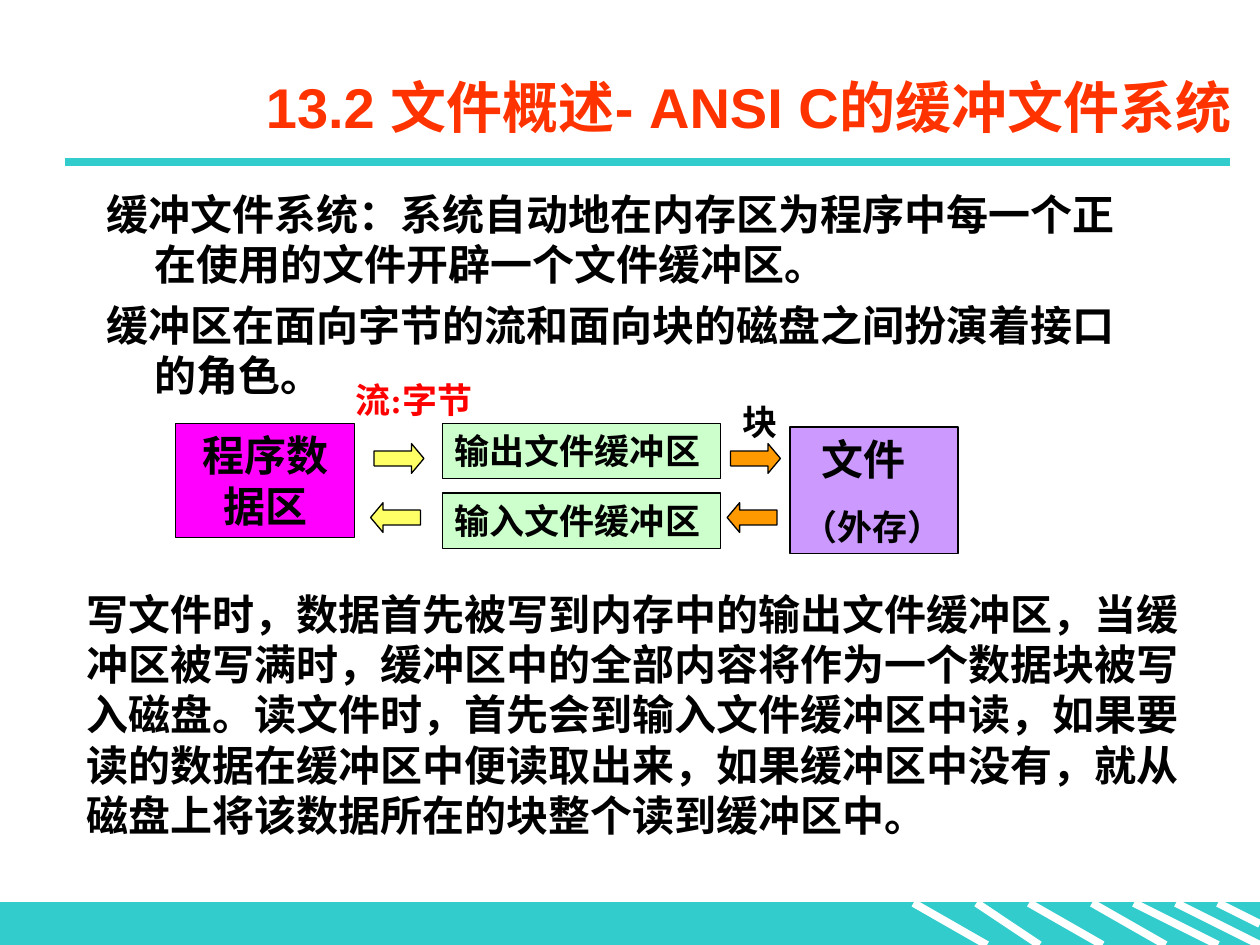
"""Build the slide on the ANSI C buffered file system."""
from lxml import etree
from pptx import Presentation
from pptx import util as u
from pptx.dml.color import RGBColor
from pptx.enum import shapes as s, text as t
from pptx.oxml.ns import qn

Pt = u.Pt
color = RGBColor.from_string
TEAL, BLACK, RED = "33CCCC", "000000", "FF0000"
GREEN, PURPLE, MAGENTA, YELLOW, ORANGE = "CCFFCC", "CC99FF", "FF00FF", "FFFF66", "FF9900"
SERIF = "Times New Roman"


def add_block(kind, left, top, width, height, fill, line=BLACK):
    block = page.shapes.add_shape(kind, Pt(left), Pt(top), Pt(width), Pt(height))
    block.shadow.inherit = False
    block.fill.solid()
    block.fill.fore_color.rgb = color(fill)
    block.line.color.rgb = color(line)
    block.line.width = Pt(0.75)
    return block


def write(box, lines, font=SERIF, ink=BLACK, align=t.PP_ALIGN.LEFT, gap=0):
    frame = box.text_frame
    frame.word_wrap = True
    frame.vertical_anchor = t.MSO_ANCHOR.TOP
    for index, (words, size, margin, indent) in enumerate(lines):
        para = frame.add_paragraph() if index else frame.paragraphs[0]
        para.text = words
        para.alignment = align
        para.line_spacing = Pt(size * 1.2)
        if index:
            para.space_before = Pt(gap)
        properties = para._p.get_or_add_pPr()
        properties.set("marL", str(Pt(margin)))
        properties.set("indent", str(Pt(indent)))
        para.font.name = font
        para.font.size = Pt(size)
        para.font.bold = True
        para.font.color.rgb = color(ink)


deck = Presentation()
deck.slide_width, deck.slide_height = Pt(720), Pt(540)
page = deck.slides.add_slide(deck.slide_layouts[5])

add_block(s.MSO_SHAPE.RECTANGLE, 0, 516, 720, 24, TEAL, TEAL)
stripes = [(522, 564), (558, 594), (588, 630), (624, 666), (648, 696), (672, 720)]
strokes = [(start, 516, end, 540, "FFFFFF") for start, end in stripes]
strokes += [(696, 516, 720, 528, "FFFFFF"), (37, 92.75, 703, 92.75, TEAL)]
for x1, y1, x2, y2, ink in strokes:
    stroke = page.shapes.add_connector(s.MSO_CONNECTOR.STRAIGHT, Pt(x1), Pt(y1), Pt(x2), Pt(y2))
    stroke.line.color.rgb = color(ink)
    stroke.line.width = Pt(4.5)
    etree.SubElement(stroke._element.spPr, qn("a:effectLst"))

title = page.shapes.title
title.left, title.top, title.width, title.height = Pt(99), Pt(32), Pt(612), Pt(57)
title.text_frame.text = "13.2 文件概述- ANSI C的缓冲文件系统"
title.text_frame.vertical_anchor = t.MSO_ANCHOR.MIDDLE
heading = title.text_frame.paragraphs[0]
heading.alignment = t.PP_ALIGN.RIGHT
heading.font.name = "Arial"
heading.font.size = Pt(32)
heading.font.bold = True
heading.font.color.rgb = color("FF3300")

definition = page.shapes.add_textbox(Pt(54), Pt(104), Pt(612), Pt(363))
write(definition, [
    ("缓冲文件系统：系统自动地在内存区为程序中每一个正在使用的文件开辟一个文件缓冲区。", 24, 27, -27),
    ("缓冲区在面向字节的流和面向块的磁盘之间扮演着接口的角色。", 24, 27, -27),
], font="Arial", gap=6)

for words, top in [("输出文件缓冲区", 242), ("输入文件缓冲区", 281.75)]:
    buffer = add_block(s.MSO_SHAPE.RECTANGLE, 252.75, top, 159, 31.5, GREEN)
    write(buffer, [(words, 20, 0, 0)])

storage = add_block(s.MSO_SHAPE.RECTANGLE, 451.5, 244, 96, 72.5, PURPLE)
write(storage, [("文件", 24, 11, 0), ("（外存）", 20, 0, 0)], gap=12.5)
program = add_block(s.MSO_SHAPE.RECTANGLE, 100.5, 242, 102, 65, MAGENTA)
write(program, [("程序数据区", 24, 0, 0)], align=t.PP_ALIGN.CENTER)

for left, fill in [(213.75, YELLOW), (417.5, ORANGE)]:
    for kind, shift, top in [(s.MSO_SHAPE.RIGHT_ARROW, 0, 253.5), (s.MSO_SHAPE.LEFT_ARROW, -2, 287.25)]:
        arrow = add_block(kind, left + shift, top, 28.5, 17, fill)
        arrow.adjustments[1] = 0.42

for words, left, top, width, ink in [("块", 417.5, 225.5, 91, BLACK), ("流:字节", 196, 213, 105, RED)]:
    label = page.shapes.add_textbox(Pt(left), Pt(top), Pt(width), Pt(31.5))
    write(label, [(words, 20, 0, 0)], ink=ink)

explanation = page.shapes.add_textbox(Pt(42.5), Pt(332.5), Pt(652), Pt(180))
write(explanation, [(
    "写文件时，数据首先被写到内存中的输出文件缓冲区，当缓冲区被写满时，"
    "缓冲区中的全部内容将作为一个数据块被写入磁盘。读文件时，首先会到输入文件缓冲区中读，"
    "如果要读的数据在缓冲区中便读取出来，如果缓冲区中没有，"
    "就从磁盘上将该数据所在的块整个读到缓冲区中。", 24, 0, 0)])

deck.save("out.pptx")
